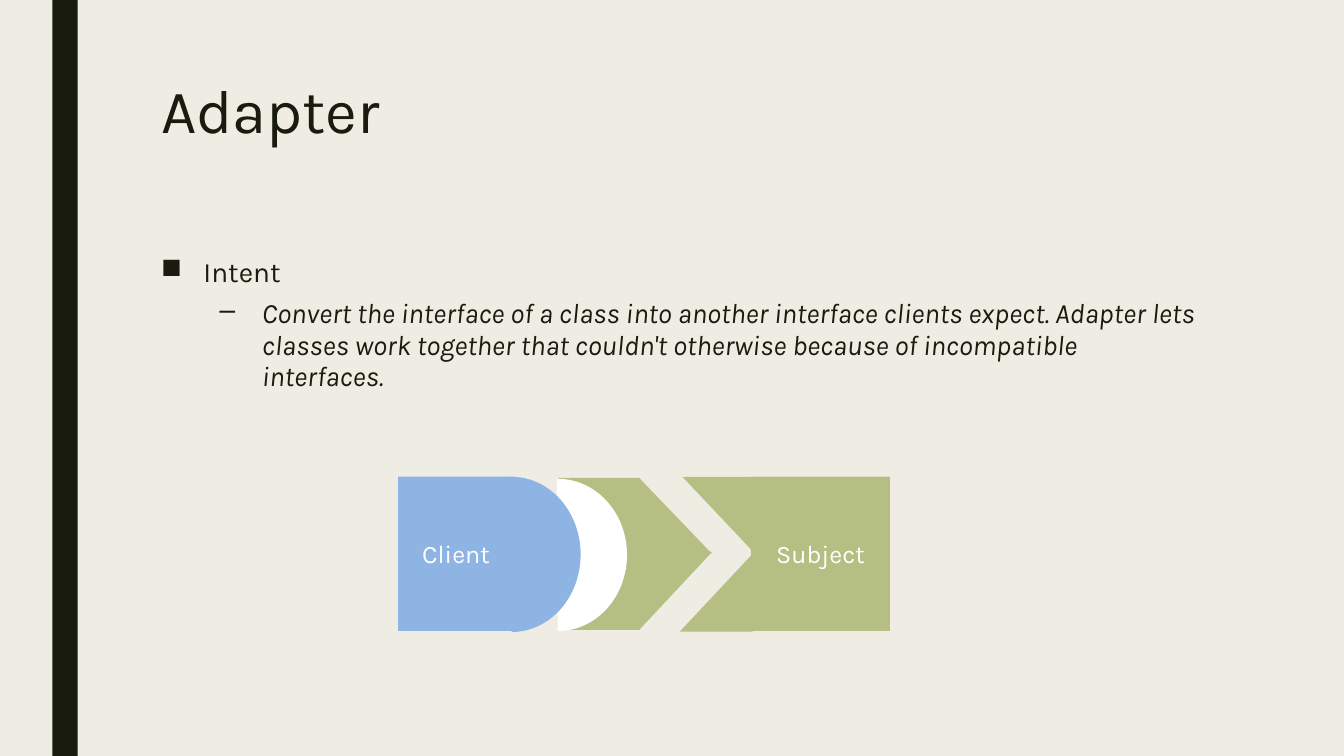
from lxml.etree import SubElement
from pptx import Presentation
from pptx.dml.color import RGBColor
from pptx.enum.shapes import MSO_SHAPE as Preset
from pptx.enum.text import MSO_ANCHOR as Anchor, PP_ALIGN as Align
from pptx.oxml.ns import qn
from pptx.util import Inches, Pt

FONT = "Karla"
INK, PAPER, WHITE = "191B0E", "EFEDE3", "FFFFFF"
BLUE, GREEN = "8EB4E3", "B6BF83"
WIDTH, HEIGHT = Inches(13.33), Inches(7.5)
COLUMNS, ROWS = 160, 90
HALF_ROUND = (53.477, 162)
PART_TOP, PART_ROWS = 56.76, 18.36


def paint(color_format, color):
    color_format.rgb = RGBColor.from_string(color)


def place(column, row, columns, rows):
    across, down = WIDTH / COLUMNS, HEIGHT / ROWS
    return (round(column * across), round(row * down),
            round(columns * across), round(rows * down))


def style_paragraph(paragraph, size, color, italic=False):
    for run in paragraph.runs:
        run.font.name = FONT
        run.font.size = Pt(size)
        run.font.italic = italic
        paint(run.font.color, color)


def add_block(shapes, preset, cell, color, rotation=0, adjustments=()):
    shape = shapes.add_shape(preset, *place(*cell))
    shape.shadow.inherit = False
    shape.fill.solid()
    paint(shape.fill.fore_color, color)
    shape.line.fill.background()
    shape.rotation = rotation
    for index, value in enumerate(adjustments):
        shape.adjustments[index] = value
    return shape


def add_labelled_block(shapes, cell, color, label):
    text_frame = add_block(shapes, Preset.RECTANGLE, cell, color).text_frame
    text_frame.text = label
    text_frame.vertical_anchor = Anchor.MIDDLE
    paragraph = text_frame.paragraphs[0]
    paragraph.alignment = Align.CENTER
    style_paragraph(paragraph, 18, WHITE)


def add_text(shapes, cell, text):
    text_frame = shapes.add_textbox(*place(*cell)).text_frame
    text_frame.word_wrap = True
    text_frame.text = text
    return text_frame.paragraphs


def add_title(shapes, cell, text):
    paragraph = add_text(shapes, cell, text)[0]
    paragraph.line_spacing = 0.89
    style_paragraph(paragraph, 44, INK)


def set_bullet(paragraph, level, bullet, indent, space_before):
    paragraph.level = level
    paragraph.line_spacing = 0.94
    paragraph.space_before = Pt(space_before)
    paragraph.space_after = Pt(2)
    properties = paragraph._p.get_or_add_pPr()
    properties.set("marL", str(Inches(indent)))
    properties.set("indent", str(Inches(-0.42)))
    SubElement(properties, qn("a:buChar")).set("char", bullet)


def add_body(shapes, cell, heading, detail):
    first, second = add_text(shapes, cell, f"{heading}\n{detail}")
    set_bullet(first, 0, "■", 0.42, 10)
    style_paragraph(first, 20, INK)
    set_bullet(second, 1, "–", 1, 5)
    style_paragraph(second, 20, INK, italic=True)


def add_adapter(shapes):
    group = shapes.add_group_shape().shapes
    add_block(group, Preset.RECTANGLE, (66.48, 56.88, 9.72, 18.12), GREEN)
    add_block(group, Preset.CHORD, (58.2, 57, 16.44, 18.12), WHITE, 180, HALF_ROUND)
    add_block(group, Preset.RIGHT_TRIANGLE, (76.08, 56.88, 8.64, 9), GREEN)
    add_block(group, Preset.RIGHT_TRIANGLE, (75.84, 66, 9.24, 8.64), GREEN, 90)


def add_subject(shapes):
    add_labelled_block(shapes, (89.4, PART_TOP, 16.56, PART_ROWS), GREEN, "Subject")
    add_block(shapes, Preset.RIGHT_TRIANGLE, (81.24, PART_TOP, 8.16, 8.64), GREEN, 180)
    add_block(shapes, Preset.RIGHT_TRIANGLE, (80.64, 66.24, 9.24, 8.64), GREEN, 270)


def main():
    presentation = Presentation()
    presentation.slide_width, presentation.slide_height = WIDTH, HEIGHT
    slide = presentation.slides.add_slide(presentation.slide_layouts[6])
    slide.background.fill.solid()
    paint(slide.background.fill.fore_color, PAPER)
    shapes = slide.shapes

    add_block(shapes, Preset.RECTANGLE, (6.24, 0, 3, ROWS), INK)
    add_labelled_block(shapes, (47.4, PART_TOP, 13.8, PART_ROWS), BLUE, "Client")
    add_title(shapes, (18, 9, 126, 19.44), "Adapter")
    add_body(shapes, (18, 30, 126, 47.04), "Intent",
             "Convert the interface of a class into another interface clients expect. "
             "Adapter lets classes work together that couldn't otherwise because of "
             "incompatible interfaces.")
    add_subject(shapes)
    add_adapter(shapes)
    add_block(shapes, Preset.CHORD, (52.68, PART_TOP, 16.44, 18.48), BLUE, 180, HALF_ROUND)

    presentation.save("out.pptx")


if __name__ == "__main__":
    main()
